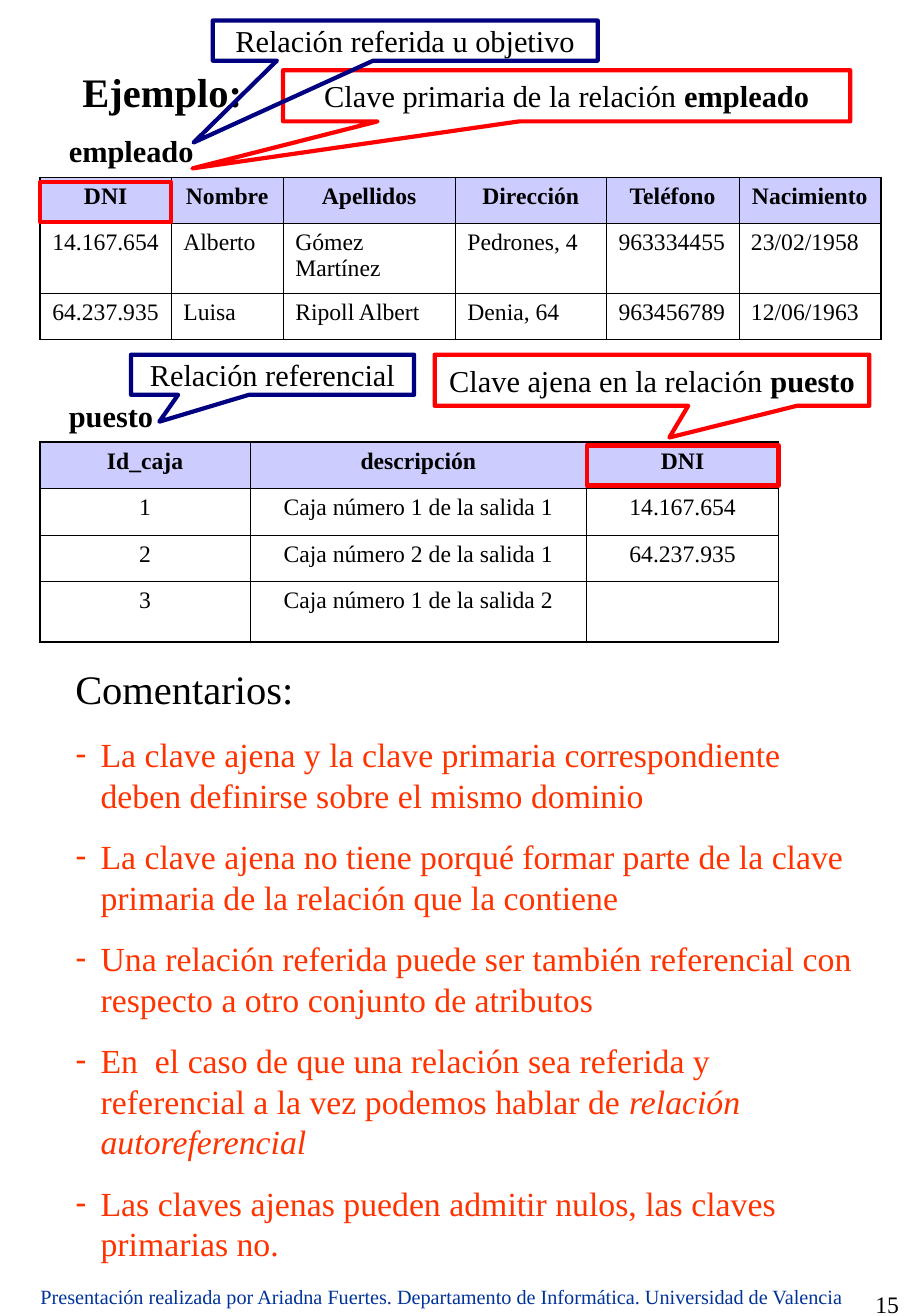
from lxml import etree
from pptx import Presentation
from pptx.dml.color import RGBColor
from pptx.enum.shapes import MSO_SHAPE
from pptx.enum.text import MSO_ANCHOR, MSO_AUTO_SIZE, PP_ALIGN
from pptx.oxml.ns import qn
from pptx.util import Cm, Pt

LEFT, CENTER, RIGHT, JUSTIFY = PP_ALIGN.LEFT, PP_ALIGN.CENTER, PP_ALIGN.RIGHT, PP_ALIGN.JUSTIFY
TOP, MIDDLE = MSO_ANCHOR.TOP, MSO_ANCHOR.MIDDLE
NO_AUTOFIT, GROW = MSO_AUTO_SIZE.NONE, MSO_AUTO_SIZE.SHAPE_TO_FIT_TEXT
RECTANGLE, CALLOUT = MSO_SHAPE.RECTANGLE, MSO_SHAPE.RECTANGULAR_CALLOUT

FONT = "Times New Roman"
BLACK, RED, NAVY = "000000", "FF0000", "000080"
ORANGE, FOOTER_BLUE, HEADER_FILL = "FF3300", "003399", "CCCCFF"
THIN, THICK = Pt(0.45), Pt(1.08)
HANGING = Cm(0.53)

EMPLEADO = [
    ["DNI", "Nombre", "Apellidos", "Dirección", "Teléfono", "Nacimiento"],
    ["14.167.654", "Alberto", "Gómez Martínez", "Pedrones, 4", "963334455", "23/02/1958"],
    ["64.237.935", "Luisa", "Ripoll Albert", "Denia, 64", "963456789", "12/06/1963"],
]
PUESTO = [
    ["Id_caja", "descripción", "DNI"],
    ["1", "Caja número 1 de la salida 1", "14.167.654"],
    ["2", "Caja número 2 de la salida 1", "64.237.935"],
    ["3", "Caja número 1 de la salida 2", ""],
]
COMENTARIOS = [
    [("La clave ajena y la clave primaria correspondiente deben definirse "
      "sobre el mismo dominio", {})],
    [("La clave ajena no tiene porqué formar parte de la clave primaria "
      "de la relación que la contiene", {})],
    [("Una relación referida puede ser también referencial con respecto "
      "a otro conjunto de atributos", {})],
    [("En  el caso de que una relación sea referida y referencial a la vez "
      "podemos hablar de ", {}), ("relación autoreferencial", {"italic": True})],
    [("Las claves ajenas pueden admitir nulos, las claves primarias no.", {})],
]


def rgb(hex_colour):
    return RGBColor.from_string(hex_colour)


def apply(target, formats):
    for attribute, value in formats.items():
        setattr(target, attribute, value)


def place(shape, box):
    apply(shape, dict(zip(("left", "top", "width", "height"), map(Cm, box))))


def write(paragraph, runs, size, colour=BLACK, **formats):
    """Fill a paragraph with (text, font format) runs."""
    apply(paragraph, formats)
    for text, font_format in runs:
        run = paragraph.add_run()
        run.text = text
        apply(run.font, {"name": FONT, "size": Pt(size), **font_format})
        run.font.color.rgb = rgb(colour)


def set_bullet(paragraph, char=None, colour=None):
    """Give a hanging indent, with a bullet when a character is named."""
    properties = paragraph._p.get_or_add_pPr()
    properties.set("marL", str(HANGING))
    properties.set("indent", str(-HANGING))
    if char is None:
        etree.SubElement(properties, qn("a:buNone"))
        return
    bullet_colour = etree.SubElement(properties, qn("a:buClr"))
    etree.SubElement(bullet_colour, qn("a:srgbClr"), val=colour)
    etree.SubElement(properties, qn("a:buChar"), char=char)


def fill_title(title):
    place(title, (1.47, 1.27, 16.18, 1.27))
    apply(title.text_frame, {"vertical_anchor": TOP, "auto_size": NO_AUTOFIT})
    write(title.text_frame.paragraphs[0], [("Ejemplo:", {"bold": True})], 24,
          alignment=LEFT, space_before=Pt(6))


def fill_comments(body):
    place(body, (1.32, 13.77, 16.87, 12.8))
    frame = body.text_frame
    apply(frame, {"vertical_anchor": TOP, "auto_size": NO_AUTOFIT})
    heading = frame.paragraphs[0]
    write(heading, [("Comentarios:", {})], 24, space_before=Pt(15))
    set_bullet(heading)
    for runs in COMENTARIOS:
        comment = frame.add_paragraph()
        write(comment, runs, 20, ORANGE, space_before=Pt(12.5))
        set_bullet(comment, "-", ORANGE)


def add_label(slide, box, text, size, colour=BLACK, bold=False, alignment=LEFT):
    label = slide.shapes.add_textbox(*map(Cm, box))
    apply(label.text_frame, {"word_wrap": False, "auto_size": GROW})
    write(label.text_frame.paragraphs[0], [(text, {"bold": bold})], size, colour,
          alignment=alignment)


def set_borders(cell, widths):
    properties = cell._tc.get_or_add_tcPr()
    for side, width in widths.items():
        line = etree.SubElement(properties, qn(f"a:ln{side}"), w=str(width))
        fill = etree.SubElement(line, qn("a:solidFill"))
        etree.SubElement(fill, qn("a:srgbClr"), val=BLACK)


def add_relation(slide, left, top, widths, heights, rows, alignment):
    """Draw a relation as a table with a shaded header and a thicker outline."""
    frame = slide.shapes.add_table(len(heights), len(widths), Cm(left), Cm(top),
                                   Cm(sum(widths)), Cm(sum(heights)))
    table = frame.table
    apply(table, {"first_row": False, "horz_banding": False})
    for column, width in zip(table.columns, widths):
        column.width = Cm(width)
    for row, height in zip(table.rows, heights):
        row.height = Cm(height)
    last_row, last_column = len(heights) - 1, len(widths) - 1
    for r, values in enumerate(rows):
        for c, value in enumerate(values):
            cell = table.cell(r, c)
            edges = {"L": c == 0, "R": c == last_column, "T": r == 0, "B": r == last_row}
            set_borders(cell, {side: THICK if outer else THIN
                               for side, outer in edges.items()})
            header = r == 0
            if header:
                cell.fill.solid()
                cell.fill.fore_color.rgb = rgb(HEADER_FILL)
            else:
                cell.fill.background()
            if value:
                write(cell.text_frame.paragraphs[0], [(value, {"bold": header})], 14,
                      alignment=CENTER if header else alignment,
                      space_before=Pt(3.5 if header else 0))


def add_outline(shapes, kind, box, colour):
    outline = shapes.add_shape(kind, *map(Cm, box))
    outline.shadow.inherit = False
    outline.fill.background()
    outline.line.color.rgb = rgb(colour)
    outline.line.width = Pt(2.5)
    return outline


def add_callout(shapes, box, tip, colour, runs):
    callout = add_outline(shapes, CALLOUT, box, colour)
    callout.adjustments[0], callout.adjustments[1] = tip
    apply(callout.text_frame, {"word_wrap": True, "vertical_anchor": MIDDLE})
    write(callout.text_frame.paragraphs[0], runs, 18, alignment=CENTER)


def add_key(slide, key_box, box, tip, text, relation):
    """Frame a key column's header and group it with its callout."""
    group = slide.shapes.add_group_shape()
    add_outline(group.shapes, RECTANGLE, key_box, RED)
    add_callout(group.shapes, box, tip, RED, [(text, {}), (relation, {"bold": True})])


def main():
    presentation = Presentation()
    apply(presentation, {"slide_width": Cm(19.05), "slide_height": Cm(27.53)})
    slide = presentation.slides.add_slide(presentation.slide_layouts[1])
    fill_title(slide.shapes.title)
    fill_comments(slide.placeholders[1])

    add_relation(slide, 0.84, 3.71, [2.74, 2.34, 3.6, 3.16, 2.77, 2.97],
                 [0.97, 1.45, 0.97], EMPLEADO, JUSTIFY)
    add_label(slide, (1.19, 2.64, 3.12, 1.02), "empleado", 18, bold=True)
    add_relation(slide, 0.84, 9.25, [4.39, 7.04, 4.01],
                 [0.97, 0.97, 0.97, 1.27], PUESTO, CENTER)
    add_label(slide, (1.19, 8.18, 2.28, 1.02), "puesto", 18, bold=True)

    add_key(slide, (0.84, 3.81, 2.74, 0.84), (5.92, 1.47, 11.86, 1.07), (-0.66, 1.42),
            "Clave primaria de la relación ", "empleado")
    add_key(slide, (12.27, 9.32, 4.01, 0.84), (9.09, 7.42, 9.09, 1.07), (0.04, 1.12),
            "Clave ajena en la relación ", "puesto")
    add_callout(slide.shapes, (4.45, 0.43, 8.05, 0.84), (-0.55, 2.54), NAVY,
                [("Relación referida u objetivo", {})])
    add_callout(slide.shapes, (2.74, 7.42, 5.92, 0.84), (-0.4, 1.17), NAVY,
                [("Relación referencial", {})])

    add_label(slide, (0.56, 26.75, 17.37, 0.76),
              "Presentación realizada por Ariadna Fuertes. Departamento de Informática. "
              "Universidad de Valencia", 12, FOOTER_BLUE, alignment=CENTER)
    add_label(slide, (17.93, 26.85, 1.12, 0.66), "15", 14, alignment=RIGHT)
    presentation.save("out.pptx")


if __name__ == "__main__":
    main()
